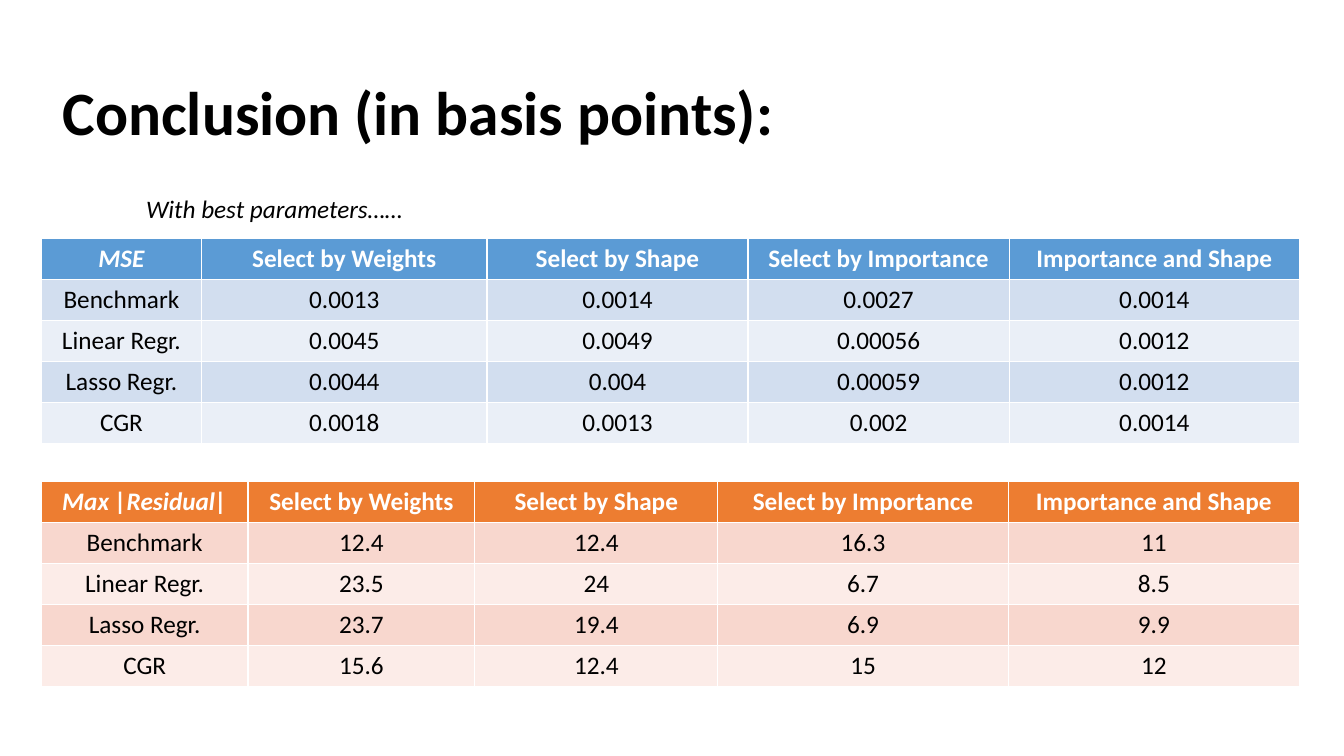
"""Build a slide with two tables of model errors in basis points."""
import pptx
import pptx.dml.color
import pptx.enum.text
import pptx.util

SCALE = 9144
ALIGN = pptx.enum.text.PP_ALIGN
FIT = pptx.enum.text.MSO_AUTO_SIZE
MODELS = ["Benchmark", "Linear Regr.", "Lasso Regr.", "CGR"]
HEADS = ["Select by Weights", "Select by Shape",
         "Select by Importance", "Importance and Shape"]
MSE = [
    ["0.0013", "0.0014", "0.0027", "0.0014"],
    ["0.0045", "0.0049", "0.00056", "0.0012"],
    ["0.0044", "0.004", "0.00059", "0.0012"],
    ["0.0018", "0.0013", "0.002", "0.0014"],
]
MAX = [
    ["12.4", "12.4", "16.3", "11"],
    ["23.5", "24", "6.7", "8.5"],
    ["23.7", "19.4", "6.9", "9.9"],
    ["15.6", "12.4", "15", "12"],
]


def px(size):
    """Turn px into EMU."""
    return pptx.util.Emu(size * SCALE)


def color(code):
    """Turn a hex string into a colour."""
    return pptx.dml.color.RGBColor.from_string(code)


def write(frame, text, size, code="000000", bold=False, italic=False,
          align=ALIGN.LEFT):
    """Set one line of text and format it."""
    frame.text = text
    line = frame.paragraphs[0]
    line.alignment = align
    font = line.runs[0].font
    font.name = "Calibri"
    font.size = pptx.util.Pt(size)
    font.bold = bold
    font.italic = italic
    font.color.rgb = color(code)


def add_title(slide, text):
    """Place and fill the title."""
    title = slide.shapes.title
    title.left, title.top = px(52), px(42)
    title.width, title.height = px(1150), px(145)
    frame = title.text_frame
    frame.auto_size = FIT.NONE
    frame.vertical_anchor = pptx.enum.text.MSO_ANCHOR.MIDDLE
    write(frame, text, 44, bold=True)
    frame.paragraphs[0].line_spacing = 0.9


def add_note(slide, text):
    """Add the italic line above the tables."""
    box = slide.shapes.add_textbox(px(135), px(187), px(349), px(40))
    frame = box.text_frame
    frame.word_wrap = True
    frame.auto_size = FIT.SHAPE_TO_FIT_TEXT
    write(frame, text, 18, italic=True)


def add_grid(slide, top, label, values, widths, fills):
    """Add a table with a header row and two band fills."""
    rows = [[label] + HEADS]
    rows += [[name] + line for name, line in zip(MODELS, values)]
    table = slide.shapes.add_table(
        len(rows), len(widths), px(41), px(top), px(sum(widths)), px(203)).table
    for column, width in zip(table.columns, widths):
        column.width = px(width)
    head, odd, even = fills
    for r, row in enumerate(rows):
        first = r == 0
        fill = head if first else odd if r % 2 else even
        for c, text in enumerate(row):
            cell = table.cell(r, c)
            cell.fill.solid()
            cell.fill.fore_color.rgb = color(fill)
            write(cell.text_frame, text, 18, "FFFFFF" if first else "000000",
                  bold=first, italic=first and c == 0, align=ALIGN.CENTER)


def main():
    """Build and save the slide."""
    deck = pptx.Presentation()
    deck.slide_width, deck.slide_height = px(1333), px(750)
    slide = deck.slides.add_slide(deck.slide_layouts[5])
    add_title(slide, "Conclusion (in basis points):")
    add_grid(slide, 237, "MSE", MSE, [159, 283, 259, 259, 288],
             ["5B9BD5", "D2DEEF", "EAEFF7"])
    add_note(slide, "With best parameters……")
    add_grid(slide, 478, "Max |Residual|", MAX, [205, 225, 241, 288, 289],
             ["ED7D31", "F8D7CE", "FCECE8"])
    deck.save("out.pptx")


if __name__ == "__main__":
    main()
